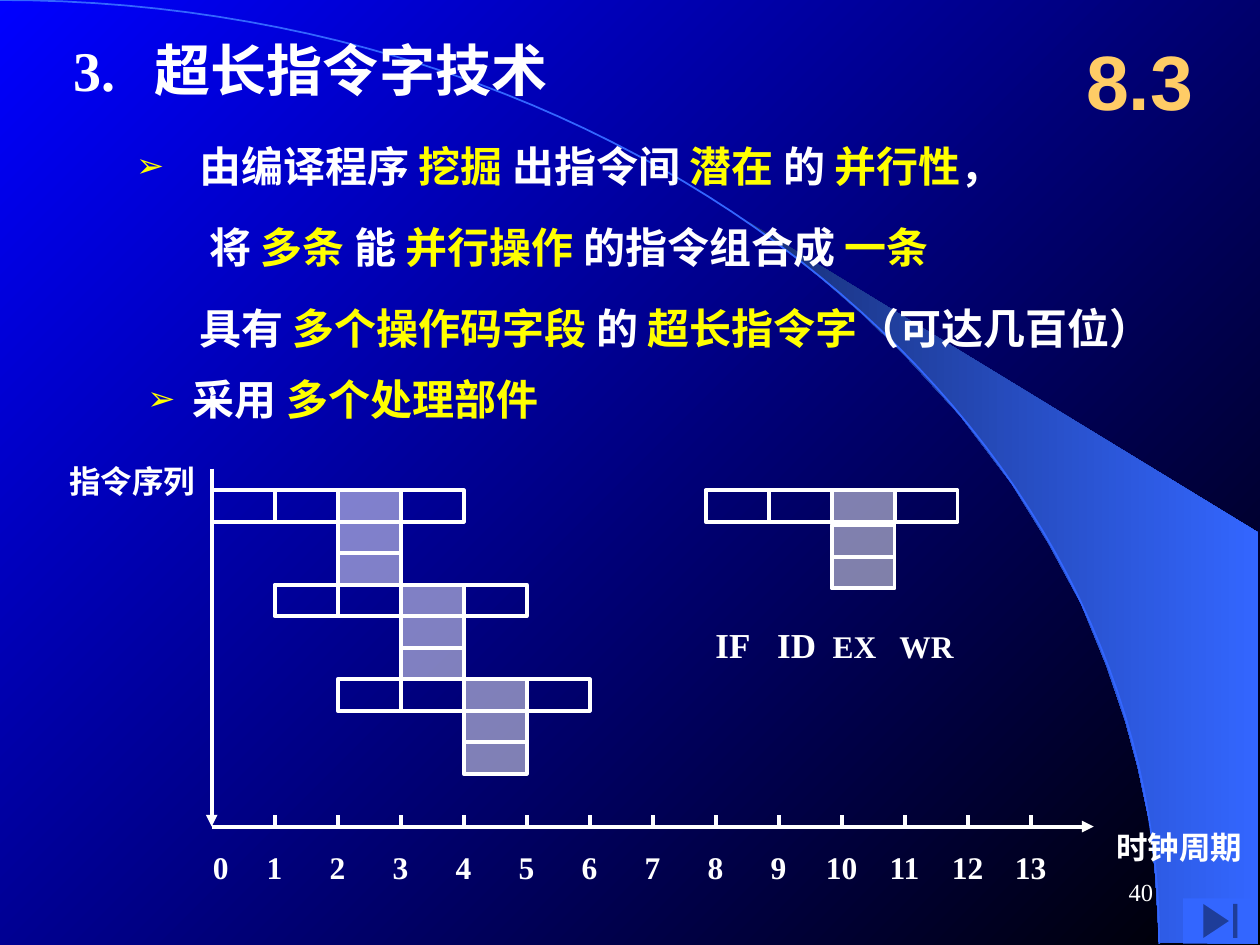
import lxml.etree
import pptx
import pptx.dml.color
import pptx.enum.shapes
import pptx.enum.text
import pptx.oxml.ns
import pptx.util

Inches, Pt = pptx.util.Inches, pptx.util.Pt
RGBColor = pptx.dml.color.RGBColor
SHAPE = pptx.enum.shapes.MSO_SHAPE
ANCHOR = pptx.enum.text.MSO_ANCHOR
ALIGN = pptx.enum.text.PP_ALIGN
qn = pptx.oxml.ns.qn
SubElement = lxml.etree.SubElement

WHITE = RGBColor(0xFF, 0xFF, 0xFF)
YELLOW = RGBColor(0xFF, 0xFF, 0x00)
GOLD = RGBColor(0xFF, 0xCC, 0x66)
BLUE = RGBColor(0x00, 0x00, 0xFF)
BLACK = RGBColor(0x00, 0x00, 0x00)
NAVY = RGBColor(0x18, 0x2F, 0x76)
SKY = RGBColor(0x33, 0x66, 0xFF)
SERIF = "Times New Roman"


def write(paragraph, text, size=18, color=WHITE, font=SERIF, bold=True, tabs=()):
    if tabs:
        stops = SubElement(paragraph._p.get_or_add_pPr(), qn("a:tabLst"))
        for position, alignment in tabs:
            SubElement(stops, qn("a:tab"), pos=str(Inches(position)), algn=alignment)
    run = paragraph.add_run()
    run.text = text
    run.font.size = Pt(size)
    run.font.name = font
    run.font.bold = bold
    run.font.color.rgb = color


def set_gradient(fill, start, end, angle):
    fill.gradient()
    fill.gradient_angle = angle
    for stop, color in zip(fill.gradient_stops, (start, end)):
        stop.color.rgb = color


deck = pptx.Presentation()
deck.slide_width, deck.slide_height = Inches(10), Inches(7.5)
slide = deck.slides.add_slide(deck.slide_layouts[1])
shapes = slide.shapes
set_gradient(slide.background.fill, BLUE, BLACK, 315)

beam_points = [
    (9.2, 7.48), (9.99, 7.49), (9.99, 4.23), (5.89, 1.73), (6.24, 1.99), (6.53, 2.22),
    (6.85, 2.5), (7.16, 2.8), (7.62, 3.3), (8.03, 3.84), (8.32, 4.31), (8.58, 4.79),
    (8.78, 5.28), (8.93, 5.72), (9.03, 6.09), (9.13, 6.56), (9.17, 6.96),
]
arc_points = []
for step in range(61):
    t = step / 60
    u = 1 - t
    arc_points.append((3 * u * u * t * 5.08 + 3 * u * t * t * 9.2 + t ** 3 * 9.2,
                       3 * u * t * t * 3.35 + t ** 3 * 7.49))

backdrop = []
for points, closed in ((beam_points, True), (arc_points, False)):
    corners = [(Inches(x), Inches(y)) for x, y in points]
    builder = shapes.build_freeform(*corners[0])
    builder.add_line_segments(corners[1:], close=closed)
    outline = builder.convert_to_shape()
    outline.shadow.inherit = False
    shapes._spTree.insert(2 + len(backdrop), outline._element)
    backdrop.append(outline)
beam, arc = backdrop
set_gradient(beam.fill, NAVY, SKY, 0)
beam.line.fill.background()
arc.fill.background()
arc.line.color.rgb = SKY
arc.line.width = Pt(1)

heading = shapes.title
heading.left, heading.top = Inches(0.58), Inches(0.25)
heading.width, heading.height = Inches(5.2), Inches(0.59)
heading.text_frame.margin_left = heading.text_frame.margin_right = 0
heading.text_frame.vertical_anchor = ANCHOR.MIDDLE
heading.text_frame.auto_size = pptx.enum.text.MSO_AUTO_SIZE.NONE
heading.text_frame.word_wrap = False
heading.text_frame.paragraphs[0].alignment = ALIGN.LEFT
write(heading.text_frame.paragraphs[0], "3.\t超长指令字技术", size=32, tabs=[(0.65, "l")])

points_list = shapes.placeholders[1]
points_list.left, points_list.top = Inches(1.08), Inches(0.88)
points_list.width, points_list.height = Inches(8.4), Inches(2.55)
frame = points_list.text_frame
frame.margin_left = frame.margin_right = frame.margin_top = frame.margin_bottom = 0
frame.vertical_anchor = ANCHOR.TOP
frame.auto_size = pptx.enum.text.MSO_AUTO_SIZE.NONE
frame.word_wrap = True
statements = [
    (0.5, -0.5, 46, ["由编译程序 ", "挖掘 ", "出指令间 ", "潜在 ", "的 ", "并行性", "，"]),
    (0.58, 0, 46, ["将 ", "多条 ", "能 ", "并行操作 ", "的指令组合成 ", "一条"]),
    (0.5, 0, 46, ["具有 ", "多个操作码字段 ", "的 ", "超长指令字", "（可达几百位）"]),
    (0.45, -0.36, 41, ["采用 ", "多个处理部件"]),
]
for row, (margin, indent, spacing, phrases) in enumerate(statements):
    paragraph = frame.add_paragraph() if row else frame.paragraphs[0]
    paragraph.line_spacing = Pt(spacing)
    paragraph.space_before = Pt(0)
    properties = paragraph._p.get_or_add_pPr()
    properties.set("marL", str(Inches(margin)))
    properties.set("indent", str(Inches(indent)))
    if indent:
        bullet_color = SubElement(properties, qn("a:buClr"))
        SubElement(bullet_color, qn("a:srgbClr"), val=str(YELLOW))
        SubElement(properties, qn("a:buSzPct"), val="80000")
        SubElement(properties, qn("a:buChar"), char="➢")
    else:
        SubElement(properties, qn("a:buNone"))
    for position, phrase in enumerate(phrases):
        write(paragraph, phrase, size=24, color=YELLOW if position % 2 else WHITE)

cell_width, cell_height = 0.5, 0.25
pipelines = [(1.68 + cell_width * i, 3.89 + 3 * cell_height * i, 0) for i in range(3)]
pipelines.append((5.6, 3.89, 0.03))
for left, top, gap in pipelines:
    cells = [(left + cell_width * stage, top, stage == 2) for stage in range(4)]
    cells += [(left + 2 * cell_width, top + gap + cell_height * k, True) for k in (1, 2)]
    for x, y, executing in cells:
        cell = shapes.add_shape(SHAPE.RECTANGLE, Inches(x), Inches(y),
                                Inches(cell_width), Inches(cell_height))
        cell.shadow.inherit = False
        cell.line.color.rgb = WHITE
        cell.line.width = Pt(2.25)
        if executing:
            cell.fill.solid()
            cell.fill.fore_color.rgb = WHITE
            tint = cell._element.spPr.find(qn("a:solidFill"))[0]
            SubElement(tint, qn("a:alpha"), val="50000")
        else:
            cell.fill.background()

axis_left, axis_bottom = 1.68, 6.56
strokes = [(axis_left, 3.72, axis_left, axis_bottom, True),
           (axis_left, axis_bottom, 8.68, axis_bottom, True)]
for cycle in range(1, 14):
    x = axis_left + cell_width * cycle
    strokes.append((x, 6.47, x, axis_bottom, False))
for x1, y1, x2, y2, arrow in strokes:
    stroke = shapes.add_connector(pptx.enum.shapes.MSO_CONNECTOR.STRAIGHT,
                                  Inches(x1), Inches(y1), Inches(x2), Inches(y2))
    stroke.line.color.rgb = WHITE
    stroke.line.width = Pt(2.25)
    if arrow:
        SubElement(stroke.line._get_or_add_ln(), qn("a:tailEnd"), type="triangle")
    SubElement(stroke._element.spPr, qn("a:effectLst"))

cycle_tabs = [(0.49 + cell_width * i, "ctr") for i in range(13)]
stage_tabs = [(0.49, "l"), (0.93, "l"), (1.46, "l")]
labels = [
    (8.42, 0.17, 1.25, 0.92, ALIGN.CENTER, ANCHOR.MIDDLE,
     [("8.3", dict(size=44, color=GOLD, font="Arial"))]),
    (5.58, 4.9, 2.1, 0.44, ALIGN.LEFT, ANCHOR.TOP,
     [("IF\tID", dict(size=20, tabs=stage_tabs)), ("\tEX\tWR", {})]),
    (1.59, 6.68, 6.89, 0.4, ALIGN.LEFT, ANCHOR.TOP,
     [("\t".join(str(cycle) for cycle in range(14)), dict(tabs=cycle_tabs))]),
    (8.76, 6.52, 1.2, 0.4, ALIGN.LEFT, ANCHOR.TOP, [("时钟周期", {})]),
    (0.45, 3.62, 1.2, 0.4, ALIGN.LEFT, ANCHOR.TOP, [("指令序列", {})]),
    (7.17, 6.83, 2.08, 0.5, ALIGN.RIGHT, ANCHOR.MIDDLE, [("40", dict(size=14, bold=False))]),
]
for left, top, width, height, alignment, anchor, pieces in labels:
    label = shapes.add_textbox(Inches(left), Inches(top), Inches(width), Inches(height))
    label.text_frame.word_wrap = len(pieces[0][0]) != 4
    label.text_frame.vertical_anchor = anchor
    label.text_frame.paragraphs[0].alignment = alignment
    for text, style in pieces:
        write(label.text_frame.paragraphs[0], text, **style)

next_button = shapes.add_shape(SHAPE.ACTION_BUTTON_END, Inches(9.39), Inches(7.13),
                               Inches(0.59), Inches(0.36))
next_button.shadow.inherit = False
next_button.fill.solid()
next_button.fill.fore_color.rgb = SKY
next_button.line.fill.background()

deck.save("out.pptx")
